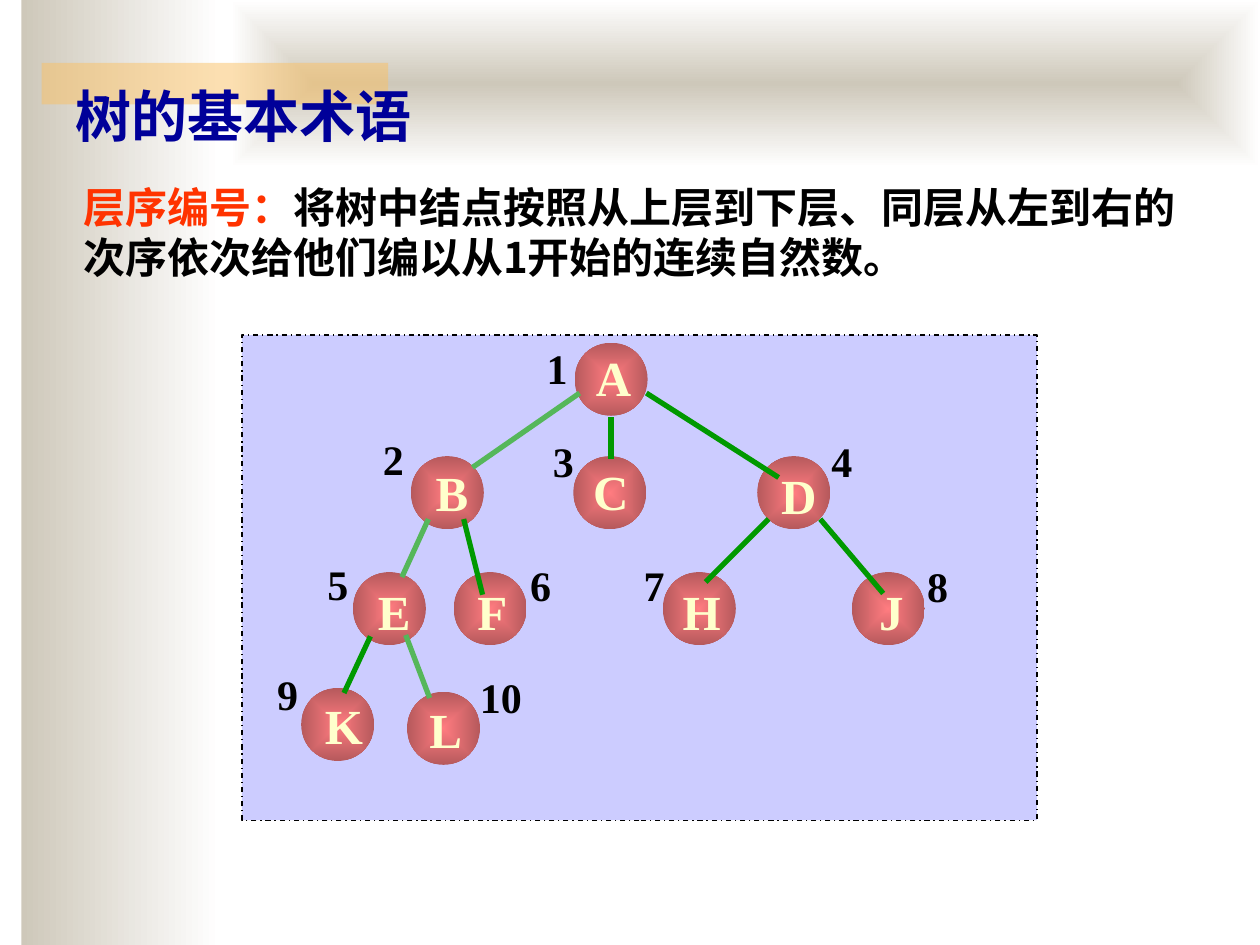
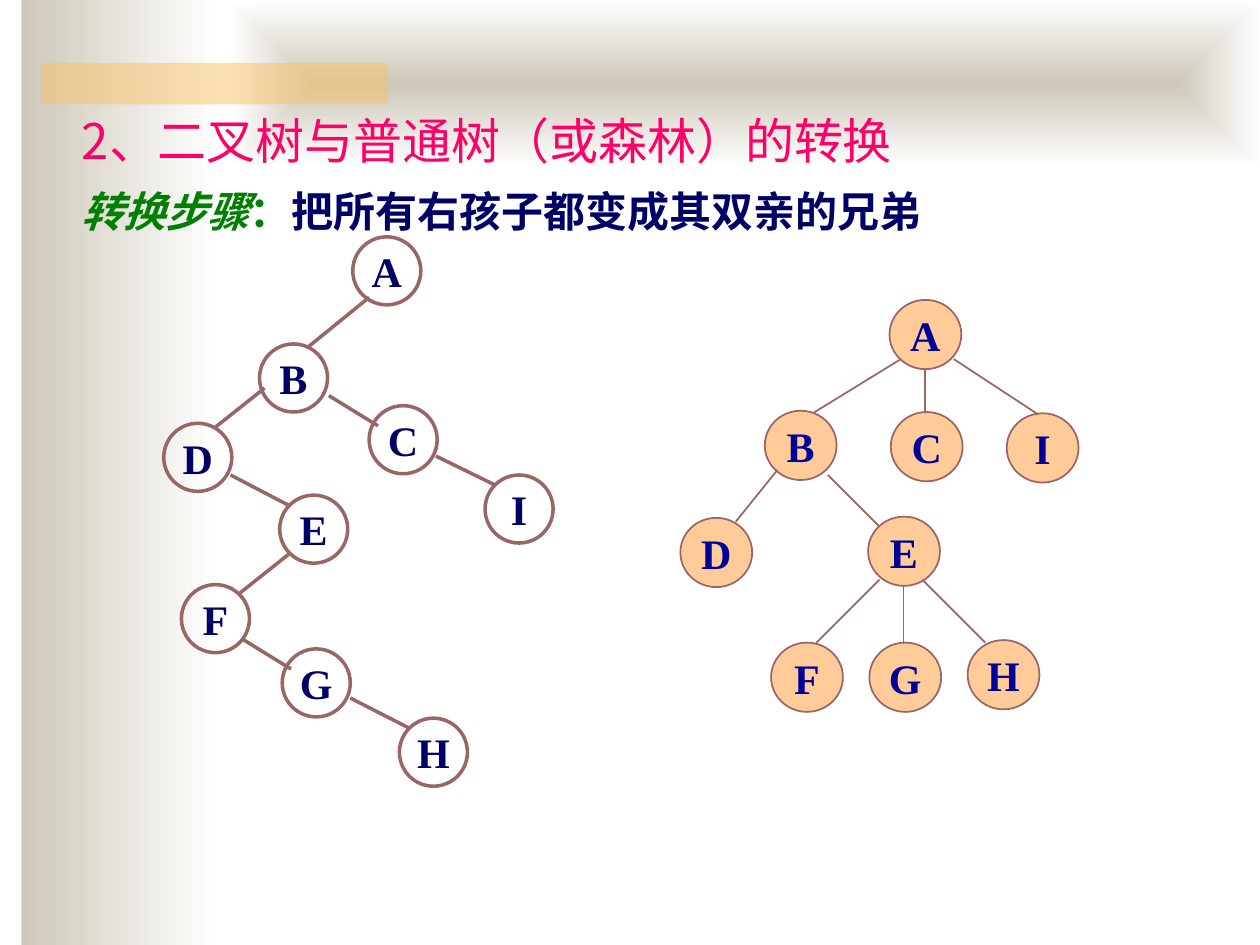
from dataclasses import dataclass

from lxml import etree
from pptx import Presentation
from pptx.dml.color import RGBColor
from pptx.enum.dml import MSO_LINE
from pptx.enum.shapes import MSO_CONNECTOR, MSO_SHAPE
from pptx.enum.text import MSO_ANCHOR, MSO_AUTO_SIZE, PP_ALIGN
from pptx.oxml.ns import qn
from pptx.util import Inches, Pt

RECTANGLE, OVAL = MSO_SHAPE.RECTANGLE, MSO_SHAPE.OVAL
STRAIGHT = MSO_CONNECTOR.STRAIGHT
DASH_DOT = MSO_LINE.DASH_DOT
TOP, MIDDLE = MSO_ANCHOR.TOP, MSO_ANCHOR.MIDDLE
LEFT, CENTER = PP_ALIGN.LEFT, PP_ALIGN.CENTER
GROW, FIXED = MSO_AUTO_SIZE.SHAPE_TO_FIT_TEXT, MSO_AUTO_SIZE.NONE

# The slide is a grid of square cells, and every place is given in cells
COLUMNS, ROWS = 10, 7.5
CELL = Inches(1)


@dataclass(frozen=True)
class Theme:
    serif: str = "Times New Roman"
    sans: str = "Noto Sans CJK SC"
    title: int = 32
    heading: int = 28
    body: int = 24
    black: str = "000000"
    white: str = "FFFFFF"
    sand: str = "CEC8BA"
    amber: str = "FAC164"
    blue: str = "000099"
    navy: str = "000066"
    red: str = "FF3300"
    pink: str = "FF0066"
    dark_green: str = "008000"
    edge_green: str = "009900"
    pale_green: str = "55B75A"
    panel: str = "CCCCFF"
    ball_center: str = "FF7C80"
    ball_rim: str = "B6595C"
    ball_letter: str = "FFFFCC"
    brown: str = "996666"
    peach: str = "FFCC99"


THEME = Theme()

# Numbered tree: letter, ball left and top, letter left, top and width,
# number, number left and top
BALL = 0.58
NUMBERED_NODES = [
    ("A", 4.56, 2.72, 4.63, 2.71, 0.48, "1", 4.24, 2.67),
    ("B", 3.26, 3.62, 3.36, 3.62, 0.46, "2", 2.94, 3.39),
    ("C", 4.55, 3.62, 4.61, 3.61, 0.48, "3", 4.29, 3.41),
    ("D", 6.01, 3.62, 6.1, 3.64, 0.48, "4", 6.5, 3.41),
    ("E", 2.8, 4.54, 2.9, 4.56, 0.46, "5", 2.5, 4.38),
    ("F", 3.6, 4.54, 3.69, 4.56, 0.44, "6", 4.11, 4.39),
    ("H", 5.26, 4.54, 5.32, 4.56, 0.5, "7", 5.01, 4.39),
    ("J", 6.76, 4.54, 6.88, 4.56, 0.4, "8", 7.26, 4.4),
    ("K", 2.39, 5.46, 2.48, 5.47, 0.5, "9", 2.1, 5.26),
    ("L", 3.23, 5.49, 3.31, 5.5, 0.46, "10", 3.71, 5.28),
]
# Edges: start column and row, end column and row
STRONG_EDGES = [
    (4.85, 3.31, 4.85, 3.64), (5.13, 3.12, 6.18, 3.79),
    (3.68, 4.12, 3.83, 4.72), (6.1, 4.12, 5.6, 4.62),
    (6.51, 4.12, 7.01, 4.71), (2.94, 5.05, 2.73, 5.5),
]
PALE_EDGES = [
    (4.6, 3.12, 3.75, 3.71), (3.4, 4.12, 3.19, 4.58),
    (3.22, 5.04, 3.41, 5.54),
]

# Binary tree and the general tree made from it: letter, left, top
BINARY_NODES = [
    ("A", 2.8, 1.88), ("B", 2.06, 2.73), ("C", 2.93, 3.22),
    ("I", 3.85, 3.77), ("D", 1.3, 3.36), ("E", 2.22, 3.93),
    ("F", 1.44, 4.64), ("G", 2.24, 5.15), ("H", 3.17, 5.7),
]
BINARY_EDGES = [
    (2.93, 2.36, 2.45, 2.75), (2.61, 3.14, 3, 3.38),
    (3.46, 3.62, 3.93, 3.85), (2.1, 3.08, 1.71, 3.39),
    (1.83, 3.77, 2.29, 4.01), (2.29, 4.4, 1.9, 4.71),
    (1.92, 5.07, 2.31, 5.31), (2.78, 5.54, 3.25, 5.78),
]
GENERAL_NODES = [
    ("A", 7.06, 2.38), ("B", 6.07, 3.26), ("C", 7.07, 3.27),
    ("I", 7.99, 3.28), ("D", 5.4, 4.11), ("E", 6.89, 4.1),
    ("F", 6.12, 5.1), ("G", 6.9, 5.1), ("H", 7.68, 5.08),
]
GENERAL_EDGES = [
    (7.15, 2.85, 6.45, 3.28), (7.34, 2.93, 7.34, 3.27),
    (7.57, 2.85, 8.24, 3.29), (6.17, 3.73, 5.84, 4.14),
    (6.57, 3.77, 6.98, 4.18), (6.98, 4.6, 6.48, 5.1),
    (7.17, 4.64, 7.17, 5.1), (7.32, 4.6, 7.82, 5.1),
]


def cells(*values):
    return [round(value * CELL) for value in values]


def color(code):
    return RGBColor.from_string(code)


def write(shape, runs, size=THEME.body, font=THEME.serif, align=LEFT,
          anchor=TOP, wrap=True, insets=(0.1, 0.05), auto_size=FIXED):
    """Fill a shape with one paragraph of (text, colour, bold, italic) runs."""
    frame = shape.text_frame
    frame.word_wrap, frame.auto_size = wrap, auto_size
    frame.vertical_anchor = anchor
    frame.margin_left, frame.margin_top = cells(*insets)
    frame.margin_right, frame.margin_bottom = cells(*insets)
    paragraph = frame.paragraphs[0]
    paragraph.alignment = align
    for text, code, bold, italic in runs:
        run = paragraph.add_run()
        run.text = text
        run.font.name, run.font.size = font, Pt(size)
        run.font.bold, run.font.italic = bold, italic
        run.font.color.rgb = color(code)
        east_asian = etree.Element(qn("a:ea"), typeface=THEME.sans)
        run.font._element.find(qn("a:latin")).addnext(east_asian)


def add_text(slide, box, runs, **text_format):
    shape = slide.shapes.add_textbox(*cells(*box))
    write(shape, runs, auto_size=GROW, **text_format)


def add_shape(slide, kind, box, fill=None, line=None, width=1):
    shape = slide.shapes.add_shape(kind, *cells(*box))
    shape.shadow.inherit = False
    if fill:
        shape.fill.solid()
        shape.fill.fore_color.rgb = color(fill)
    else:
        shape.fill.background()
    if line:
        shape.line.color.rgb = color(line)
        shape.line.width = Pt(width)
    else:
        shape.line.fill.background()
    return shape


def shade(shape, start, end, from_center=False):
    """Give a shape a two-colour gradient, left to right or from its centre."""
    shape.fill.gradient()
    shape.fill.gradient_angle = 0
    for stop, code in zip(shape.fill.gradient_stops, (start, end)):
        stop.color.rgb = color(code)
    if from_center:
        linear = next(shape.element.iter(qn("a:lin")))
        outline = etree.Element(qn("a:path"), {"path": "shape"})
        etree.SubElement(outline, qn("a:fillToRect"),
                         dict.fromkeys("ltrb", "50000"))
        linear.getparent().replace(linear, outline)


def add_edges(slide, edges, code, width):
    for edge in edges:
        connector = slide.shapes.add_connector(STRAIGHT, *cells(*edge))
        connector.line.color.rgb = color(code)
        connector.line.width = Pt(width)
        etree.SubElement(connector.element.spPr, qn("a:effectLst"))


def add_background(slide):
    """Draw the bands that every slide shares."""
    side = add_shape(slide, RECTANGLE, (0.17, 0, 1.58, ROWS))
    shade(side, THEME.sand, THEME.white)
    top = add_shape(slide, RECTANGLE, (1.83, 0, COLUMNS - 1.83, 1.33))
    shade(top, THEME.sand, THEME.white, from_center=True)
    accent = add_shape(slide, RECTANGLE, (0.33, 0.5, 2.75, 0.33), THEME.amber)
    solid = next(accent.element.spPr.iter(qn("a:srgbClr")))
    etree.SubElement(solid, qn("a:alpha"), val="50000")


def add_ball(slide, letter, left, top, letter_left, letter_top, letter_width):
    ball = add_shape(slide, OVAL, (left, top, BALL, BALL))
    shade(ball, THEME.ball_center, THEME.ball_rim, from_center=True)
    add_text(slide, (letter_left, letter_top, letter_width, 0.57),
             [(letter, THEME.ball_letter, True, False)],
             size=THEME.heading, anchor=MIDDLE, wrap=False)


def add_tree(slide, nodes, edges, node_size, text_color, width, fill=None):
    for letter, left, top in nodes:
        node = add_shape(slide, OVAL, (left, top, *node_size), fill,
                         THEME.brown, width)
        write(node, [(letter, text_color, True, False)],
              align=CENTER, anchor=MIDDLE, wrap=False)
    add_edges(slide, edges, THEME.brown, width)


def build_numbering(slide):
    panel = add_shape(slide, RECTANGLE, (1.92, 2.66, 6.31, 3.85),
                      THEME.panel, THEME.black, 0.75)
    panel.line.dash_style = DASH_DOT
    for *ball, number, left, top in NUMBERED_NODES:
        add_ball(slide, *ball)
        number_width = 0.39 if len(number) == 1 else 0.56
        add_text(slide, (left, top, number_width, 0.5),
                 [(number, THEME.black, True, False)])
    add_edges(slide, STRONG_EDGES, THEME.edge_green, 3)
    add_edges(slide, PALE_EDGES, THEME.pale_green, 3)

    # Definition and title
    definition = "将树中结点按照从上层到下层、同层从左到右的次序依次给他们编以从1开始的连续自然数。"
    add_text(slide, (0.66, 1.39, 8.93, 0.9),
             [("层序编号：", THEME.red, True, False),
              (definition, THEME.black, True, False)],
             font=THEME.sans, insets=(0, 0.05))
    add_text(slide, (0.5, 0.6, 4.33, 0.63),
             [("树的基本术语", THEME.blue, True, False)], size=THEME.title)


def build_conversion(slide):
    # Heading and the conversion step
    add_text(slide, (0.65, 0.88, 8.05, 0.47),
             [("2、二叉树与普通树（或森林）的转换", THEME.pink, False, False)],
             size=THEME.heading, font=THEME.sans, insets=(0, 0))
    add_text(slide, (0.65, 1.47, 7.25, 0.4),
             [("转换步骤", THEME.dark_green, True, True),
              ("：", THEME.dark_green, True, False),
              ("把所有右孩子都变成其双亲的兄弟", THEME.navy, True, False)],
             insets=(0, 0))

    # Binary tree on the left, general tree on the right
    add_tree(slide, BINARY_NODES, BINARY_EDGES, (0.54, 0.54), THEME.navy, 2)
    add_tree(slide, GENERAL_NODES, GENERAL_EDGES, (0.57, 0.55), THEME.blue, 1,
             fill=THEME.peach)


def main():
    presentation = Presentation()
    presentation.slide_width, presentation.slide_height = cells(COLUMNS, ROWS)
    blank = presentation.slide_layouts[6]
    for build in (build_numbering, build_conversion):
        slide = presentation.slides.add_slide(blank)
        add_background(slide)
        build(slide)
    presentation.save("out.pptx")


if __name__ == "__main__":
    main()
